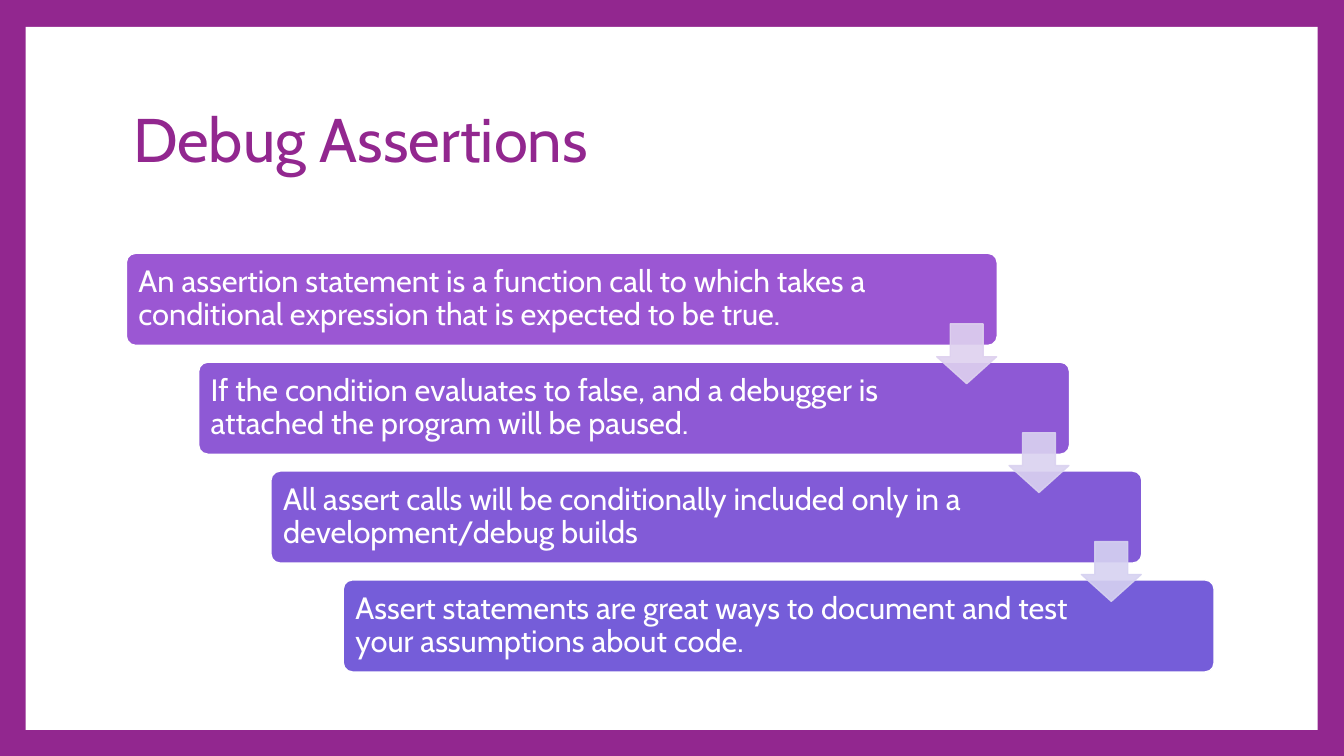
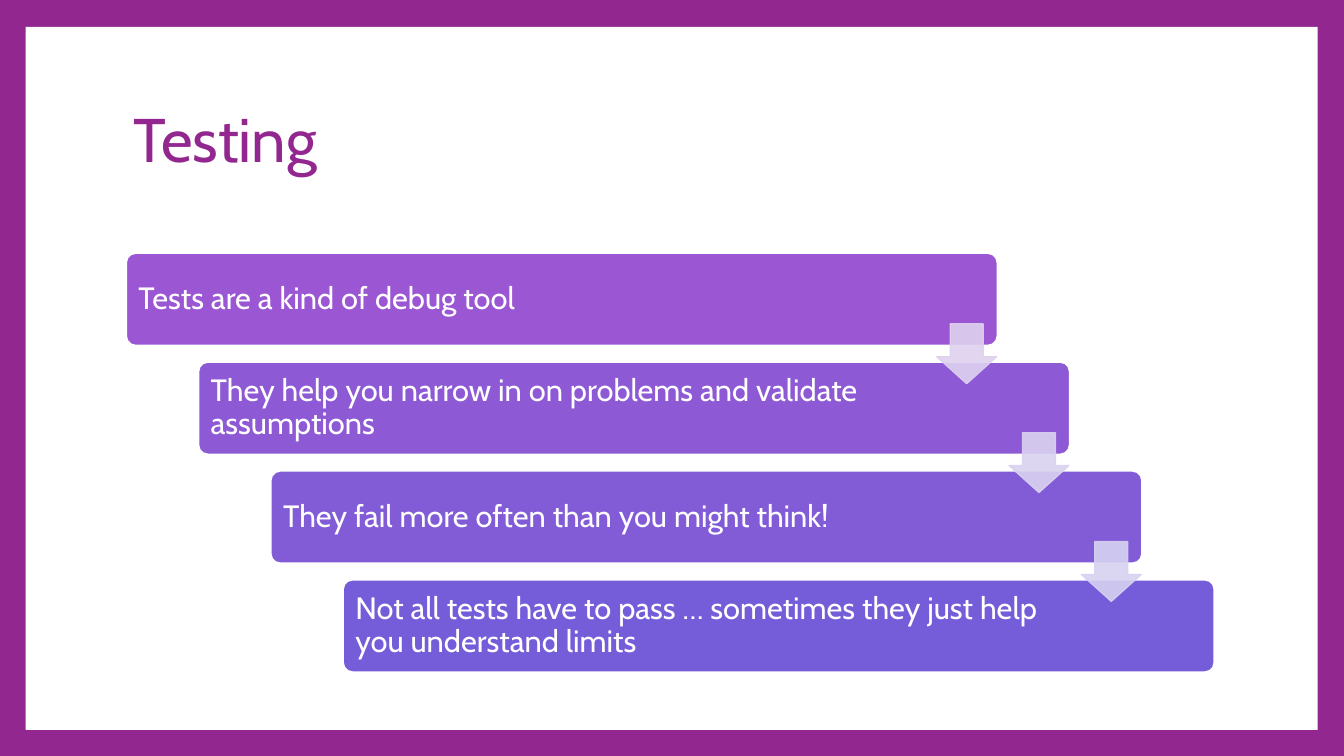
from typing import Any, NamedTuple

from lxml.etree import SubElement
from pptx import Presentation
from pptx.dml.color import RGBColor
from pptx.enum.shapes import MSO_SHAPE
from pptx.enum.text import MSO_ANCHOR, MSO_AUTO_SIZE, PP_ALIGN
from pptx.oxml.ns import qn
from pptx.util import Inches, Pt

COLUMN = Inches(20) / 100
ROW = Inches(11.25) / 100
FONT = "Cabin"
PURPLE = "92278F"
WHITE = "FFFFFF"
STEP_COLUMNS = 5.38
STEP_ROWS = 14.4
BAR_COLORS = ["9B57D3", "8E59D5", "825BD7", "755DD9"]
ARROW_COLORS = ["DED1EF", "DAD2F0", "D6D2F1"]


class Area(NamedTuple):
    left: float
    top: float
    width: float
    height: float

    def stepped(self, step: int) -> "Area":
        return self._replace(left=self.left + step * STEP_COLUMNS,
                             top=self.top + step * STEP_ROWS)

    def lengths(self) -> tuple[int, int, int, int]:
        return (round(self.left * COLUMN), round(self.top * ROW),
                round(self.width * COLUMN), round(self.height * ROW))


class Staircase(NamedTuple):
    title: str
    steps: list[str]


PANEL = Area(1.9, 3.56, 96.15, 92.98)
TITLE = Area(9.4, 8.89, 81, 19.82)
BAR = Area(9.4, 33.51, 64.8, 12.18)
FIRST_TEXT = Area(9.6, 33.87, 56.8, 11.47)
NEXT_TEXT = FIRST_TEXT._replace(width=54.5)
ARROW = Area(69.7, 42.84, 4.45, 7.91)

STAIRCASES = [
    Staircase("Debug Assertions", [
        "An assertion statement is a function call to which takes a "
        "conditional expression that is expected to be true.",
        "If the condition evaluates to false, and a debugger is attached "
        "the program will be paused.",
        "All assert calls will be conditionally included only in a "
        "development/debug builds",
        "Assert statements are great ways to document and test your "
        "assumptions about code.",
    ]),
    Staircase("Testing", [
        "Tests are a kind of debug tool",
        "They help you narrow in on problems and validate assumptions",
        "They fail more often than you might think!",
        "Not all tests have to pass … sometimes they just help you "
        "understand limits",
    ]),
]


def rgb(color: str) -> RGBColor:
    return RGBColor.from_string(color)


def apply(target: Any, values: dict[str, Any]) -> None:
    for name, value in values.items():
        setattr(target, name, value)


def paint(fill: Any, color: str) -> None:
    fill.solid()
    fill.fore_color.rgb = rgb(color)


def write(shape: Any, text: str, size: float, color: str, inset: float) -> None:
    frame = shape.text_frame
    margins = {f"margin_{side}": Inches(inset)
               for side in ("left", "top", "right", "bottom")}
    apply(frame, {"word_wrap": True, "auto_size": MSO_AUTO_SIZE.NONE,
                  "vertical_anchor": MSO_ANCHOR.MIDDLE, **margins})
    para = frame.paragraphs[0]
    apply(para, {"alignment": PP_ALIGN.LEFT, "line_spacing": 0.9})
    span = para.add_run()
    span.text = text
    apply(span.font, {"name": FONT, "size": Pt(size)})
    span.font.color.rgb = rgb(color)


def add_block(page: Any, kind: MSO_SHAPE, area: Area, color: str,
              line: str | None = None, adjustments: tuple[float, ...] = ()) -> Any:
    block = page.shapes.add_shape(kind, *area.lengths())
    block.shadow.inherit = False
    paint(block.fill, color)
    if line:
        paint(block.line.fill, line)
        block.line.width = Pt(1.5)
    else:
        block.line.fill.background()
    for index, value in enumerate(adjustments):
        block.adjustments[index] = value
    return block


def make_translucent(block: Any, percent: int) -> None:
    for color in block._element.spPr.iter(qn("a:srgbClr")):
        SubElement(color, qn("a:alpha")).set("val", str(percent * 1000))


def add_title(page: Any, text: str) -> None:
    title = page.shapes.title
    apply(title, dict(zip(("left", "top", "width", "height"), TITLE.lengths())))
    write(title, text, 66, PURPLE, 0.1)


def add_staircase(page: Any, steps: list[str]) -> None:
    for step, (text, color) in enumerate(zip(steps, BAR_COLORS)):
        add_block(page, MSO_SHAPE.ROUNDED_RECTANGLE, BAR.stepped(step),
                  color, WHITE, (0.1,))
        area = NEXT_TEXT if step else FIRST_TEXT
        box = page.shapes.add_textbox(*area.stepped(step).lengths())
        write(box, text, 33, WHITE, 0.14)
    for step, color in enumerate(ARROW_COLORS):
        arrow = add_block(page, MSO_SHAPE.DOWN_ARROW, ARROW.stepped(step),
                          color, color, (0.55, 0.45))
        make_translucent(arrow, 90)


def main() -> None:
    deck = Presentation()
    apply(deck, {"slide_width": round(100 * COLUMN),
                 "slide_height": round(100 * ROW)})
    paint(deck.slide_master.background.fill, PURPLE)
    layout = deck.slide_layouts.get_by_name("Title Only")
    pages = [deck.slides.add_slide(layout) for _ in STAIRCASES]
    panel = add_block(pages[0], MSO_SHAPE.RECTANGLE, PANEL, WHITE)
    layout.shapes._spTree.insert(2, panel._element)
    for page, staircase in zip(pages, STAIRCASES):
        add_title(page, staircase.title)
        add_staircase(page, staircase.steps)
    deck.save("out.pptx")


if __name__ == "__main__":
    main()
